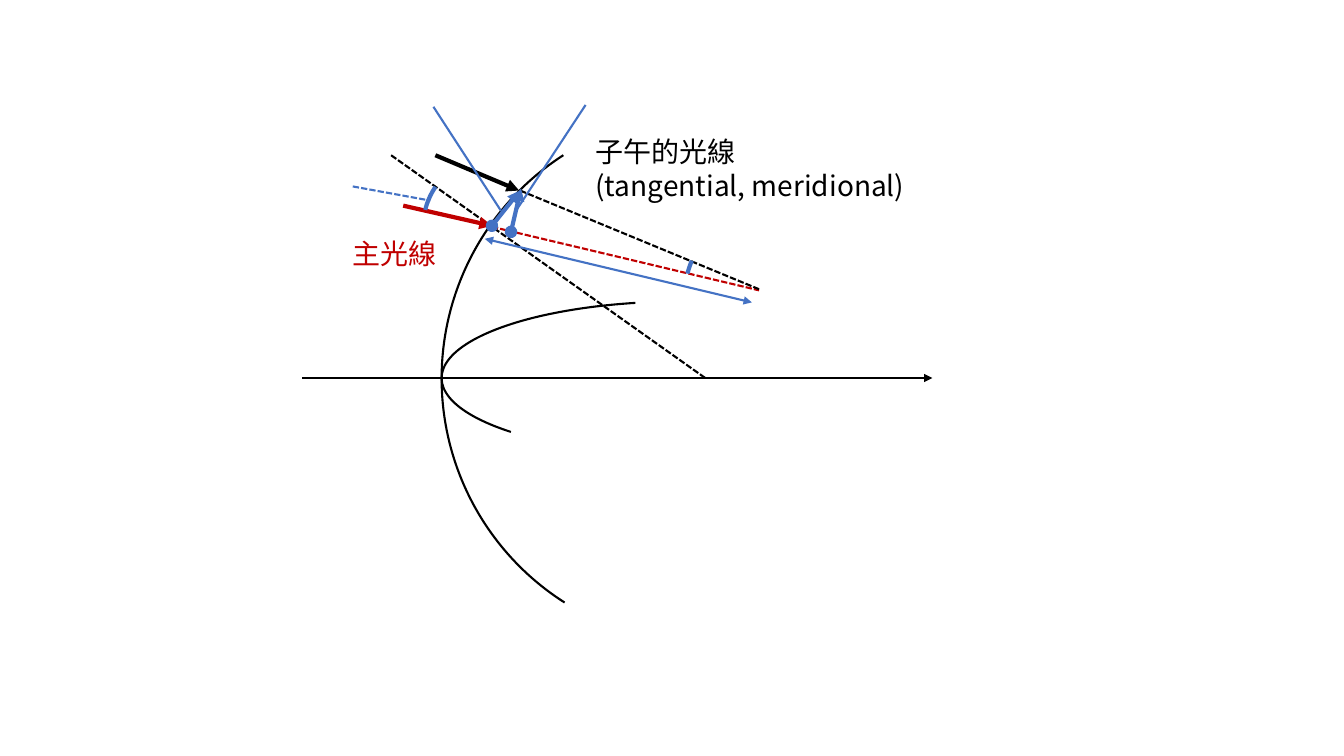
from pptx import Presentation
from pptx import util as u
from pptx.dml.color import RGBColor
from pptx.enum import dml, shapes, text
from pptx.oxml.ns import qn
from lxml import etree

BLACK = RGBColor(0x00, 0x00, 0x00)
RED = RGBColor(0xC0, 0x00, 0x00)
BLUE = RGBColor(0x44, 0x72, 0xC4)
FONT = "Noto Sans CJK JP"
THIN, THICK = 1.5, 3


def add_text(parent, box, lines, *, size=20, color=BLACK, font=FONT):
    textbox = parent.shapes.add_textbox(*map(u.Pt, box))
    frame = textbox.text_frame
    frame.word_wrap = False
    frame.auto_size = text.MSO_AUTO_SIZE.SHAPE_TO_FIT_TEXT
    for index, line in enumerate(lines):
        paragraph = frame.add_paragraph() if index else frame.paragraphs[0]
        run = paragraph.add_run()
        run.text = line
        run.font.size = u.Pt(size)
        run.font.color.rgb = color
        run.font.name = font
        etree.SubElement(run.font._element, qn("a:ea"), typeface=font)


def add_ray(parent, start, end, *, color=BLACK, width=THIN, dashed=False, head=None, tail=None):
    ray = parent.shapes.add_connector(
        shapes.MSO_CONNECTOR.STRAIGHT, *map(u.Pt, (*start, *end)))
    ray.line.color.rgb = color
    ray.line.width = u.Pt(width)
    if dashed:
        ray.line.dash_style = dml.MSO_LINE.SQUARE_DOT
    properties = ray._element.spPr
    line = properties.find(qn("a:ln"))
    for tag, kind in (("a:headEnd", head), ("a:tailEnd", tail)):
        if kind:
            etree.SubElement(line, qn(tag), type=kind)
    etree.SubElement(properties, qn("a:effectLst"))


def add_arc(parent, box, start, end, *, color=BLACK, width=THIN):
    """Draw an arc open to the right; angles in degrees, clockwise from its leftmost point."""
    arc = parent.shapes.add_shape(shapes.MSO_SHAPE.ARC, *map(u.Pt, box))
    arc.rotation = 180
    # One adjustment unit is 100000/60000 of a degree.
    arc.adjustments[0] = start * 0.6
    arc.adjustments[1] = end * 0.6
    arc.fill.background()
    arc.line.color.rgb = color
    arc.line.width = u.Pt(width)
    arc.shadow.inherit = False


def draw_ray_diagram(slide, left, top, width):
    def at(x, y, *size):
        return (left + x, top + y, *size)

    diagram = slide.shapes.add_group_shape()

    # Optical axis, surface and its normal
    add_ray(diagram, at(0, 195), at(width, 195), tail="triangle")
    add_arc(diagram, at(99.4, 5.6, 379.4, 379.4), 302.47, 57.2)
    add_arc(diagram, at(99.4, 140.3, 342, 109.4), 342.42, 58.74)
    add_ray(diagram, at(63.4, 35.9), at(288.7, 195.7), dashed=True)

    # Rays and their extensions to the focus
    add_ray(diagram, at(135.4, 87), at(326.2, 132.4), color=RED, dashed=True)
    add_ray(diagram, at(155.5, 61.1), at(326.2, 131.6), dashed=True)
    add_ray(diagram, at(72, 71.9), at(135.4, 86.3), color=RED, width=THICK, tail="triangle")
    add_ray(diagram, at(95, 35.9), at(154.8, 61.1), width=THICK, tail="triangle")
    add_text(diagram, at(28.8, 90.6, 74.9, 31.7), ["主光線"], color=RED)

    # Displacements, angles and pointers
    add_ray(diagram, at(135.4, 86.3), at(155.5, 61.1), color=BLUE, width=THICK,
            head="oval", tail="triangle")
    add_text(diagram, at(202.3, 17.9, 247.7, 55.4), ["子午的光線", "(tangential, meridional)"])
    add_ray(diagram, at(141.8, 75.5), at(93.6, 1.3), color=BLUE)
    add_arc(diagram, at(273.6, 79.8, 105.8, 105.8), 13.37, 23.96, color=BLUE, width=THICK)
    add_ray(diagram, at(149, 90.6), at(156.2, 59.6), color=BLUE, width=THICK,
            head="oval", tail="triangle")
    add_arc(diagram, at(86.4, 37.3, 97.9, 97.9), 13.37, 34.65, color=BLUE, width=THICK)
    add_ray(diagram, at(202.3, 0), at(152.6, 75.5), color=BLUE)
    add_ray(diagram, at(36, 58.2), at(91.4, 68.3), color=BLUE, dashed=True)
    add_ray(diagram, at(130.3, 95.6), at(321.1, 141), color=BLUE,
            head="triangle", tail="triangle")


def main():
    presentation = Presentation()
    presentation.slide_width = u.Pt(960)
    presentation.slide_height = u.Pt(540)
    blank_layout = presentation.slide_layouts[6]
    slide = presentation.slides.add_slide(blank_layout)
    draw_ray_diagram(slide, left=216, top=75, width=450)
    presentation.save("out.pptx")


if __name__ == "__main__":
    main()
